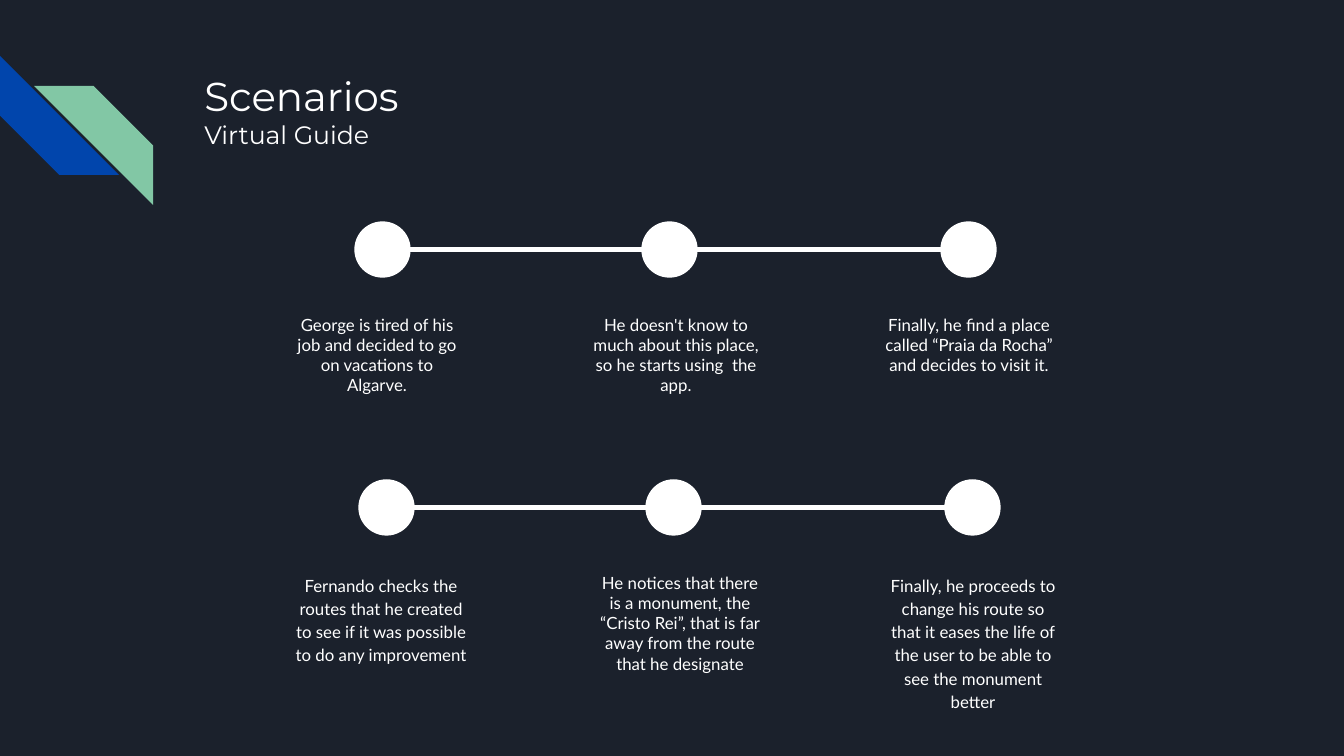
from lxml import etree
from pptx import Presentation, util as u
from pptx.dml.color import RGBColor
from pptx.enum import shapes, text
from pptx.oxml import ns

SCALE = 914400 / 134.4
NAVY = RGBColor(0x1B, 0x21, 0x2C)
BLUE = RGBColor(0x01, 0x45, 0xAC)
GREEN = RGBColor(0x82, 0xC7, 0xA5)
WHITE = RGBColor(0xFF, 0xFF, 0xFF)

DOT = 55
DOT_OFFSETS = (0, 287, 586)
CAPTION_OFFSETS = (-77, 222, 515)
CAPTION_DROP = 79
CAPTION_WIDTH = 198

VISIT = (
    ("George is tired of his job and decided to go on vacations to Algarve.", 109, False),
    ("He doesn't know to much about this place, so he starts using  the app.", 109, False),
    ("Finally, he find a place called “Praia da Rocha” and decides to visit it.", 89, False),
)
ROUTE = (
    ("Fernando checks the routes that he created to see if it was possible "
     "to do any improvement", 118, True),
    ("He notices that there is a monument, the “Cristo Rei”, that is far away "
     "from the route that he designate", 129, False),
    ("Finally, he proceeds to change his route so that it eases the life of the user "
     "to be able to see the monument better", 164, True),
)


def px(*lengths):
    return [u.Emu(round(length * SCALE)) for length in lengths]


def add_span(para, words, font, size):
    span = para.add_run()
    span.text = words
    span.font.name = font
    span.font.size = u.Pt(size)
    span.font.color.rgb = WHITE


def set_frame(frame, auto_size):
    frame.word_wrap = True
    frame.auto_size = auto_size
    frame.vertical_anchor = text.MSO_ANCHOR.TOP
    frame.margin_left = frame.margin_right = u.Inches(0.1)
    frame.margin_top = frame.margin_bottom = u.Inches(0.1)


def add_solid(page, kind, box, color):
    shape = page.shapes.add_shape(kind, *px(*box))
    shape.shadow.inherit = False
    shape.fill.solid()
    shape.fill.fore_color.rgb = color
    shape.line.fill.background()
    return shape


def add_stripes(page, left, top, size):
    for dx, dy, turn, color in ((0, 0, 270, BLUE), (34, 30, 90, GREEN)):
        box = (left + dx, top + dy, size, size)
        stripe = add_solid(page, shapes.MSO_SHAPE.DIAGONAL_STRIPE, box, color)
        stripe.adjustments[0] = 0.5
        stripe.rotation = turn


def add_heading(page, box):
    title = page.shapes.title
    title.left, title.top, title.width, title.height = px(*box)
    frame = title.text_frame
    set_frame(frame, text.MSO_AUTO_SIZE.NONE)
    paras = (frame.paragraphs[0], frame.add_paragraph())
    for para, words, size in zip(paras, ("Scenarios", "Virtual Guide"), (21.6, 13.5)):
        para.alignment = text.PP_ALIGN.LEFT
        add_span(para, words, "Montserrat", size)


def add_caption(page, box, words, spaced):
    caption = page.shapes.add_textbox(*px(*box))
    set_frame(caption.text_frame, text.MSO_AUTO_SIZE.SHAPE_TO_FIT_TEXT)
    para = caption.text_frame.paragraphs[0]
    para.alignment = text.PP_ALIGN.CENTER
    if spaced:
        para.line_spacing = 1.15
        para.space_after = u.Pt(12)
    add_span(para, words, "Lato", 9)


def add_timeline(page, left, top, steps):
    middle = top + DOT / 2
    track = page.shapes.add_connector(
        shapes.MSO_CONNECTOR.STRAIGHT,
        *px(left, middle, left + DOT_OFFSETS[-1] + DOT, middle))
    track.line.color.rgb = WHITE
    track.line.width = u.Pt(2.25)
    etree.SubElement(track.element.find(ns.qn("p:spPr")), ns.qn("a:effectLst"))
    for offset in DOT_OFFSETS:
        box = (left + offset, top, DOT, DOT)
        dot = add_solid(page, shapes.MSO_SHAPE.OVAL, box, WHITE)
        dot.line.color.rgb = WHITE
        dot.line.width = u.Pt(0.75)
    for offset, (words, height, spaced) in zip(CAPTION_OFFSETS, steps):
        box = (left + offset, top + CAPTION_DROP, CAPTION_WIDTH, height)
        add_caption(page, box, words, spaced)


def main():
    deck = Presentation()
    deck.slide_width, deck.slide_height = px(1344, 756)
    page = deck.slides.add_slide(deck.slide_layouts[5])
    page.background.fill.solid()
    page.background.fill.fore_color.rgb = NAVY
    add_stripes(page, 0, 56, 119)
    add_heading(page, (191, 58, 1035, 134))
    add_timeline(page, 355, 222, VISIT)
    add_timeline(page, 359, 480, ROUTE)
    deck.save("out.pptx")


if __name__ == "__main__":
    main()
